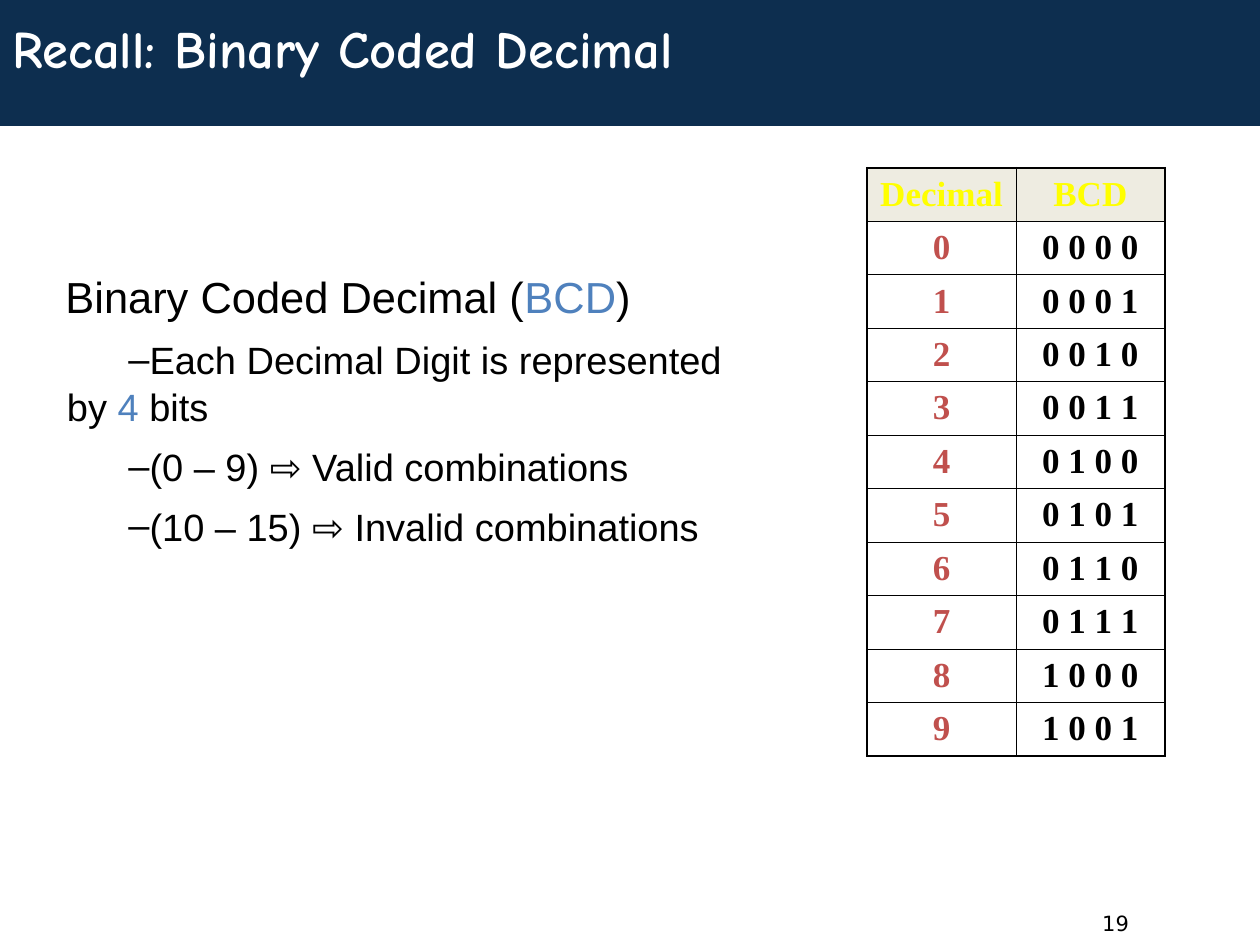
from lxml.etree import SubElement
from pptx import Presentation
from pptx.dml.color import RGBColor
from pptx.enum.shapes import MSO_SHAPE
from pptx.enum.text import MSO_ANCHOR, PP_ALIGN
from pptx.oxml.ns import qn
from pptx.util import Cm, Pt

COLORS = {
    "navy": "0D2E4F",
    "white": "FFFFFF",
    "black": "000000",
    "blue": "4F81BD",
    "red": "C0504D",
    "yellow": "FFFF00",
    "cream": "EEECE1",
}
THIN, THICK = 0.45, 1.08


def rgb(name):
    return RGBColor.from_string(COLORS[name])


def add_run(paragraph, text, font, size, color="black", bold=False):
    run = paragraph.add_run()
    run.text = text
    run.font.name = font
    run.font.size = Pt(size)
    run.font.bold = bold
    run.font.color.rgb = rgb(color)


def add_text_frame(slide, left, top, width, height):
    frame = slide.shapes.add_textbox(Cm(left), Cm(top), Cm(width), Cm(height)).text_frame
    frame.word_wrap = True
    return frame


def add_header(slide, left, top, width, height):
    band = slide.shapes.add_shape(
        MSO_SHAPE.RECTANGLE, Cm(left), Cm(top), Cm(width), Cm(height))
    band.shadow.inherit = False
    band.fill.solid()
    band.fill.fore_color.rgb = rgb("navy")
    band.line.fill.background()
    title = add_text_frame(slide, left, top, width, height * 0.76)
    title.vertical_anchor = MSO_ANCHOR.MIDDLE
    add_run(title.paragraphs[0], "Recall: Binary Coded Decimal",
            "Comic Neue", 30, "white", bold=True)


def set_dash_bullet(paragraph):
    """Start the first line, dash included, at a positive indent."""
    properties = paragraph._p.get_or_add_pPr()
    properties.set("marL", str(Cm(0.03)))
    properties.set("indent", str(Cm(1.24)))
    color = SubElement(properties, qn("a:buClr"))
    SubElement(color, qn("a:srgbClr"), val=COLORS["black"])
    SubElement(properties, qn("a:buFont"), typeface="Arial")
    SubElement(properties, qn("a:buChar"), char="–")


def add_explanation(slide, left, top, width, height):
    body = add_text_frame(slide, left, top, width, height)
    body.margin_top = Cm(0.17)
    heading = body.paragraphs[0]
    for text, color in (("Binary Coded Decimal (", "black"), ("BCD", "blue"), (")", "black")):
        add_run(heading, text, "Arial", 24.8, color)

    points = [
        [("Each Decimal Digit is represented ", "black"), None,
         ("by ", "black"), ("4", "blue"), (" bits", "black")],
        [("(0 – 9) ⇨ Valid combinations", "black")],
        [("(10 – 15) ⇨ Invalid combinations", "black")],
    ]
    for parts in points:
        point = body.add_paragraph()
        point.level = 1
        set_dash_bullet(point)
        point.space_before = Pt(7)
        point.line_spacing = 1.04
        for part in parts:
            if part is None:
                point.add_line_break()
            else:
                add_run(point, part[0], "Arial", 21.7, part[1])


def set_borders(cell, widths):
    properties = cell._tc.get_or_add_tcPr()
    for side, width in widths.items():
        line = SubElement(properties, qn(f"a:ln{side}"), w=str(Pt(width)))
        fill = SubElement(line, qn("a:solidFill"))
        SubElement(fill, qn("a:srgbClr"), val=COLORS["black"])


def add_code_table(slide, left, top, width, height):
    rows = [("Decimal", "BCD")]
    rows += [(str(digit), " ".join(f"{digit:04b}")) for digit in range(10)]
    last = len(rows) - 1
    table = slide.shapes.add_table(
        len(rows), 2, Cm(left), Cm(top), Cm(width), Cm(height)).table
    table.first_row = False
    table.horz_banding = False
    for r, row in enumerate(rows):
        for c, text in enumerate(row):
            cell = table.cell(r, c)
            cell.margin_top, cell.margin_bottom = Cm(0.11), Cm(0.12)
            cell.vertical_anchor = MSO_ANCHOR.MIDDLE
            set_borders(cell, {
                "L": THICK if c == 0 else THIN,
                "R": THICK if c == 1 else THIN,
                "T": THICK if r == 0 else THIN,
                "B": THICK if r == last else THIN,
            })
            if r == 0:
                cell.fill.solid()
                cell.fill.fore_color.rgb = rgb("cream")
                color = "yellow"
            else:
                cell.fill.background()
                color = ("red", "black")[c]
            paragraph = cell.text_frame.paragraphs[0]
            paragraph.alignment = PP_ALIGN.CENTER
            add_run(paragraph, text, "Times New Roman", 20, color, bold=True)


def add_page_number(slide, left, top, width, height):
    number = add_text_frame(slide, left, top, width, height)
    add_run(number.paragraphs[0], "19", "DejaVu Sans", 12)


def main():
    deck = Presentation()
    deck.slide_width, deck.slide_height = Cm(25.4), Cm(19.05)
    slide = deck.slides.add_slide(deck.slide_layouts[6])
    add_header(slide, 0, 0, 25.4, 2.54)
    add_page_number(slide, 21.97, 18.24, 3.33, 0.81)
    add_explanation(slide, 1.07, 5.28, 15.09, 6.99)
    add_code_table(slide, 17.48, 3.38, 6, 9.32)
    deck.save("out.pptx")


if __name__ == "__main__":
    main()
